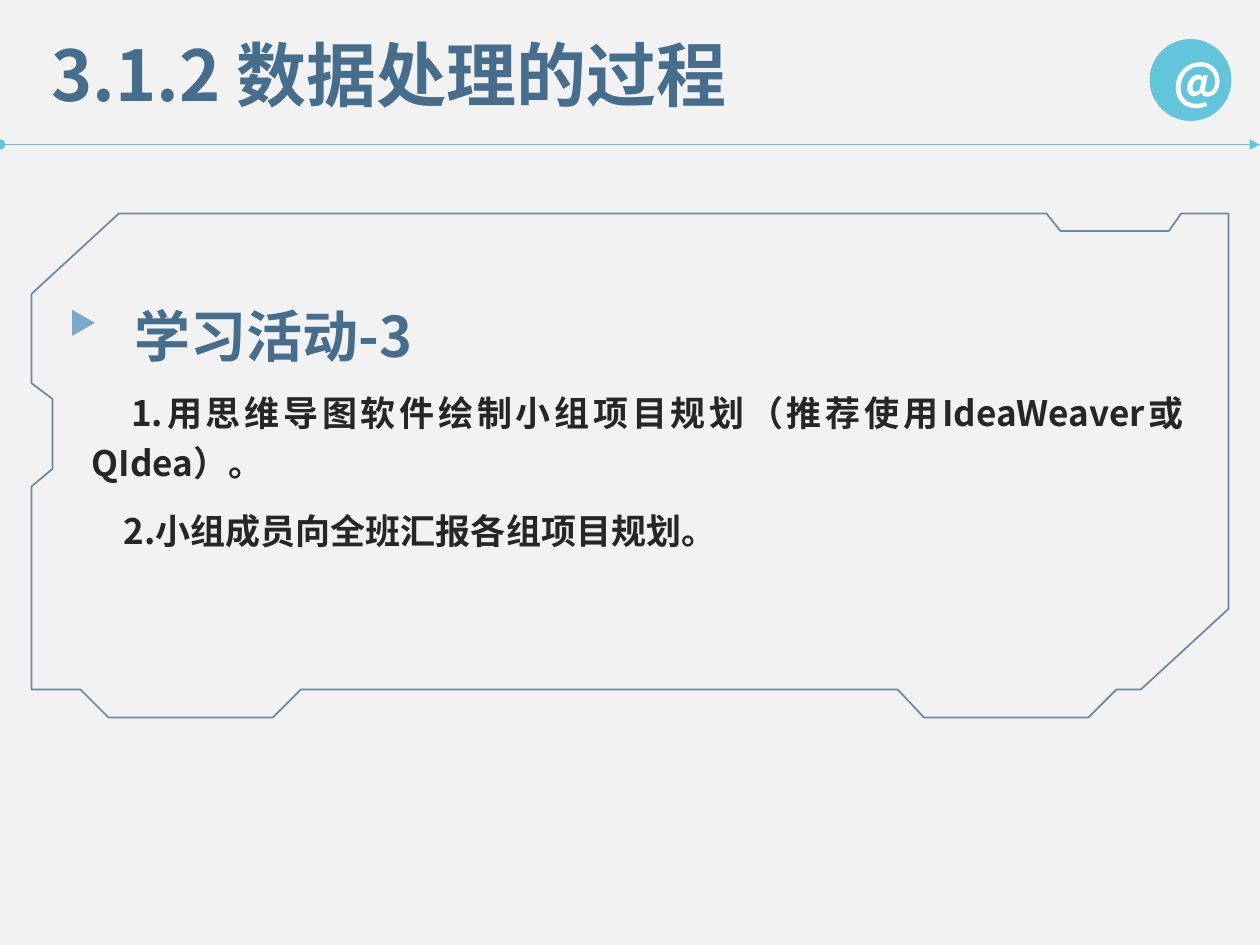
import pptx
import pptx.util
import pptx.dml.color
import pptx.enum.shapes
import pptx.enum.text
import pptx.oxml.ns
import lxml.etree

Pt = pptx.util.Pt
SHAPE = pptx.enum.shapes.MSO_SHAPE
ALIGN = pptx.enum.text.PP_ALIGN
FONT = "Noto Sans CJK SC"
COLORS = {"background": "F2F2F2", "accent": "62C5DC", "heading": "466E8C",
          "body": "262626", "marker": "7BA9CA", "frame": "1F4E79", "white": "FFFFFF"}

HEADINGS = [
    {"text": "3.1.2 数据处理的过程", "place": (22.3, 14.4, 530, 55.4), "size": 40, "spacing": 1},
    {"text": "学习活动-3", "place": (69.8, 149.8, 448, 58.3), "size": 32, "spacing": 1.5},
]
TASKS = [
    ("1.用思维导图软件绘制小组项目规划（推荐使用IdeaWeaver或QIdea）。", 22.5),
    ("2.小组成员向全班汇报各组项目规划。", 18),
]
TASKS_PLACE = (45.4, 215.3, 638, 144)
FRAME_POINTS = [
    (68.5, 122), (598.5, 122), (605.5, 131.5), (668.5, 131.5), (675, 122), (702, 122),
    (702, 348.5), (651.5, 393.5), (637.5, 393.5), (622, 409.5), (528.5, 409.5),
    (513, 393.5), (171.5, 393.5), (156, 409.5), (62, 409.5), (46.5, 393.5), (18, 393.5),
    (18, 277.5), (30, 268), (30, 228.5), (18, 219), (18, 167.5),
]


def rgb(name):
    return pptx.dml.color.RGBColor.from_string(COLORS[name])


def add_xml(parent, tag, **attributes):
    return lxml.etree.SubElement(parent, pptx.oxml.ns.qn(tag), **attributes)


def write_paragraph(para, text, size, color, align=ALIGN.LEFT, spacing=1):
    para.add_run().text = text
    para.alignment = align
    para.line_spacing = spacing
    font = para.font
    font.size, font.bold, font.name = Pt(size), True, FONT
    font.color.rgb = rgb(color)
    defaults = para._p.pPr.find(pptx.oxml.ns.qn("a:defRPr"))
    add_xml(defaults, "a:ea", typeface=FONT)


def add_text_box(slide, place):
    frame = slide.shapes.add_textbox(*map(Pt, place)).text_frame
    frame.word_wrap = True
    frame.auto_size = pptx.enum.text.MSO_AUTO_SIZE.SHAPE_TO_FIT_TEXT
    return frame


def add_filled_shape(slide, kind, place, color):
    shape = slide.shapes.add_shape(kind, *map(Pt, place))
    shape.shadow.inherit = False
    shape.fill.solid()
    shape.fill.fore_color.rgb = rgb(color)
    shape.line.fill.background()
    return shape


def add_divider(slide):
    divider = slide.shapes.add_connector(
        pptx.enum.shapes.MSO_CONNECTOR.STRAIGHT, Pt(0), Pt(82.6), Pt(720), Pt(82.6))
    divider.line.color.rgb = rgb("accent")
    divider.line.width = Pt(0.5)
    line = divider.line._get_or_add_ln()
    add_xml(line, "a:headEnd", type="oval")
    add_xml(line, "a:tailEnd", type="triangle")
    add_xml(divider._element.spPr, "a:effectLst")


def add_badge(slide):
    badge = add_filled_shape(slide, SHAPE.OVAL, (656.9, 22.3, 46.8, 46.8), "accent")
    frame = badge.text_frame
    frame.word_wrap = False
    frame.vertical_anchor = pptx.enum.text.MSO_ANCHOR.MIDDLE
    frame.margin_left, frame.margin_right = Pt(9), Pt(0)
    write_paragraph(frame.paragraphs[0], "@", 28, "white", ALIGN.CENTER)


def add_tasks(slide):
    frame = add_text_box(slide, TASKS_PLACE)
    for index, (text, indent) in enumerate(TASKS):
        para = frame.add_paragraph() if index else frame.paragraphs[0]
        write_paragraph(para, text, 20, "body", ALIGN.JUSTIFY, 1.2)
        para.space_after = Pt(10)
        para._p.pPr.set("indent", str(Pt(indent)))


def add_frame(slide):
    builder = slide.shapes.build_freeform(*FRAME_POINTS[0], scale=Pt(1))
    builder.add_line_segments(FRAME_POINTS[1:], close=True)
    outline = builder.convert_to_shape()
    outline.shadow.inherit = False
    outline.fill.background()
    outline.line.color.rgb = rgb("frame")
    outline.line.width = Pt(1)
    color = outline.line._get_or_add_ln().find(".//" + pptx.oxml.ns.qn("a:srgbClr"))
    add_xml(color, "a:alpha", val="64000")


def main():
    deck = pptx.Presentation()
    deck.slide_width, deck.slide_height = Pt(720), Pt(540)
    slide = deck.slides.add_slide(deck.slide_layouts[6])
    slide.background.fill.solid()
    slide.background.fill.fore_color.rgb = rgb("background")
    add_divider(slide)
    add_badge(slide)
    for heading in HEADINGS:
        frame = add_text_box(slide, heading["place"])
        write_paragraph(frame.paragraphs[0], heading["text"], heading["size"],
                        "heading", spacing=heading["spacing"])
    add_tasks(slide)
    marker = add_filled_shape(slide, SHAPE.ISOSCELES_TRIANGLE, (40.2, 178, 15, 13), "marker")
    marker.rotation = 90
    add_frame(slide)
    deck.save("out.pptx")


if __name__ == "__main__":
    main()
